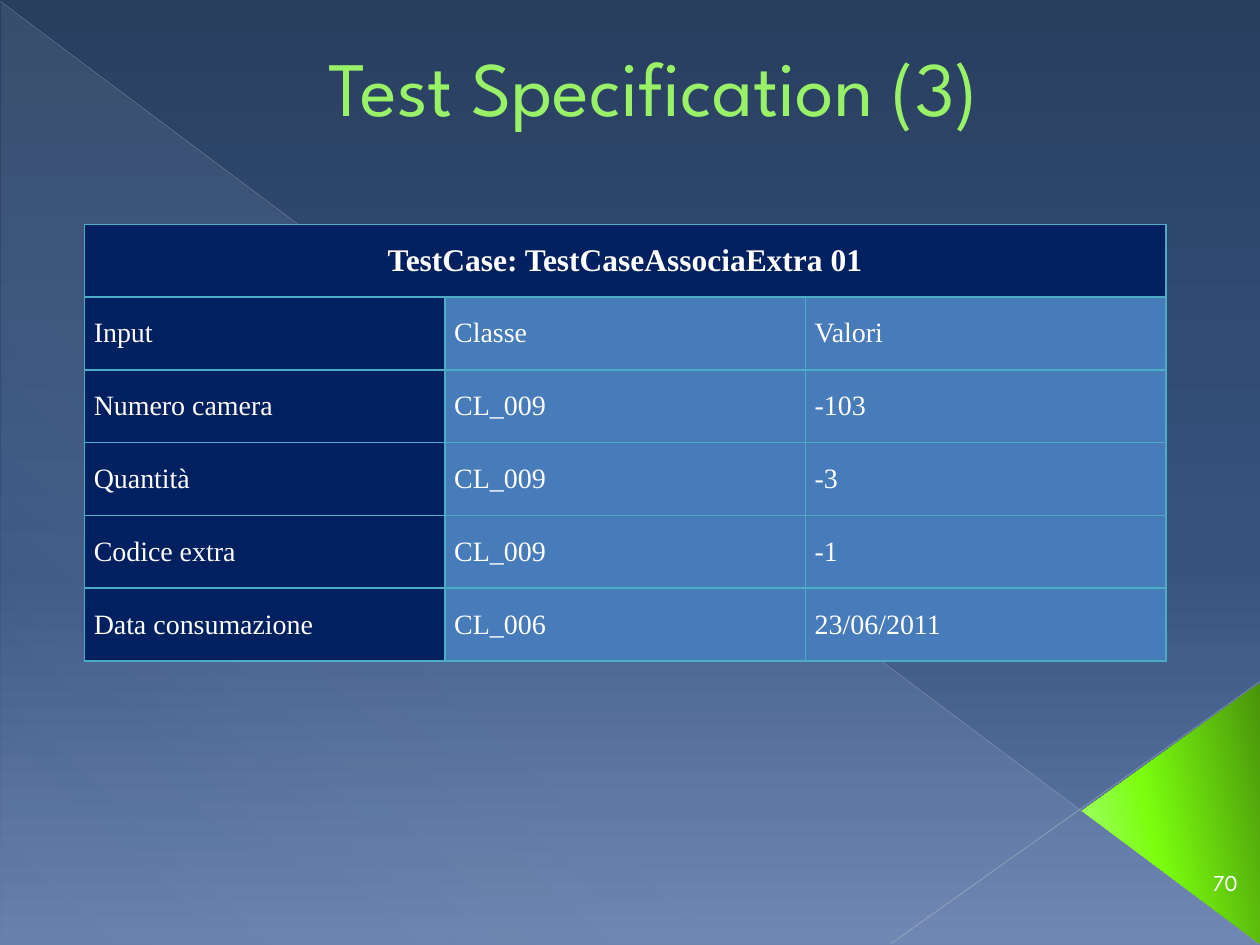
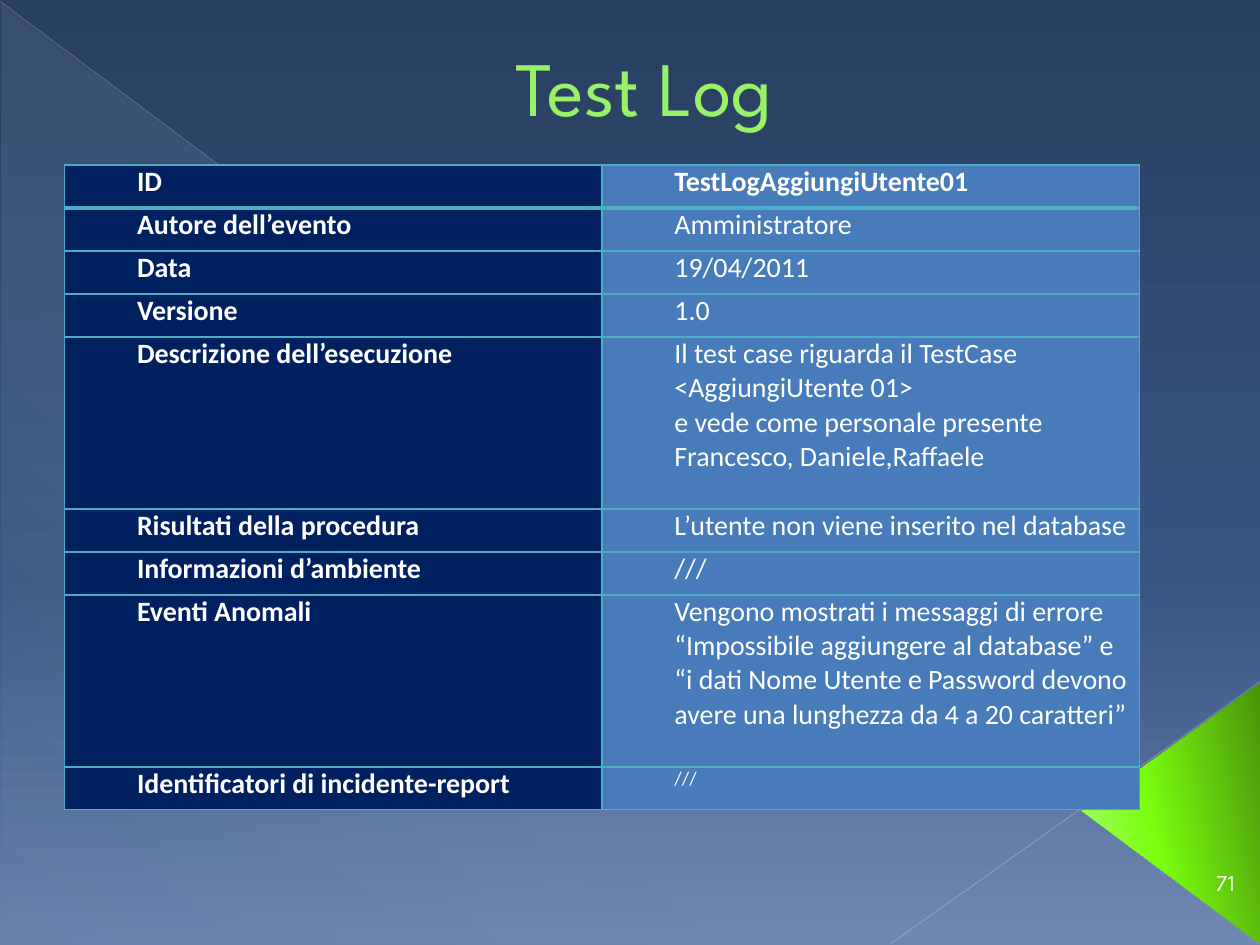
"""Builds two test documentation slides: a test case specification and a test log."""
from lxml import etree
from pptx import Presentation
from pptx.dml.color import RGBColor
from pptx.enum.shapes import MSO_CONNECTOR, MSO_SHAPE
from pptx.enum.text import MSO_ANCHOR, PP_ALIGN
from pptx.oxml.ns import qn
from pptx.util import Pt

COLORS = {
    "sky_top": "293F60", "sky_middle": "375380", "sky_bottom": "667FAC",
    "sheen": "D6ECFF", "long_edge": "B7BCC5", "short_edge": "BFC3CB",
    "corner_dark": "49940B", "corner": "7BFE0E", "corner_light": "A8FF7D",
    "title": "98F167", "title_outline": "589129", "text": "FFFFFF",
    "label": "002060", "value": "477BB9", "border": "4BACC6",
}
SLIDES = [
    {
        "title": "Test Specification (3)", "number": "70",
        "left": 48.2, "top": 128.2, "columns": [206] * 3, "heights": [41.6] * 6,
        "font": "Times New Roman", "indent": 0, "align": PP_ALIGN.JUSTIFY,
        "anchor": MSO_ANCHOR.MIDDLE, "merged_header": True,
        "rows": [
            ["TestCase: TestCaseAssociaExtra 01", "", ""],
            ["Input", "Classe", "Valori"],
            ["Numero camera", "CL_009", "-103"],
            ["Quantità", "CL_009", "-3"],
            ["Codice extra", "CL_009", "-1"],
            ["Data consumazione", "CL_006", "23/06/2011"],
        ],
    },
    {
        "title": "Test Log ", "number": "71",
        "left": 36.9, "top": 94.3, "columns": [307.1] * 2,
        "heights": [24.57] * 4 + [98.3] + [24.57] * 2 + [98.3, 24.57],
        "font": "Calibri", "indent": 36, "align": PP_ALIGN.LEFT,
        "anchor": MSO_ANCHOR.TOP, "merged_header": False,
        "rows": [
            ["ID", "TestLogAggiungiUtente01"],
            ["Autore dell’evento", "Amministratore"],
            ["Data", "19/04/2011"],
            ["Versione", "1.0"],
            ["Descrizione dell’esecuzione",
             "Il test case riguarda il TestCase <AggiungiUtente 01>\n"
             "e vede come personale presente Francesco, Daniele,Raffaele"],
            ["Risultati della procedura", "L’utente non viene inserito nel database"],
            ["Informazioni d’ambiente", "///"],
            ["Eventi Anomali",
             "Vengono mostrati i messaggi di errore “Impossibile aggiungere al database” e "
             "“i dati Nome Utente e Password devono avere una lunghezza da 4 a 20 caratteri”"],
            ["Identificatori di incidente-report", "///"],
        ],
    },
]
EDGES = [
    (0, 0.7, 719.3, 539.3, "long_edge", 0.39, 35),
    (720, 389.5, 509, 539.3, "short_edge", 0.47, 45),
]


def add_color(parent, color, opacity=100):
    """Append a solid colour with its opacity in percent."""
    srgb = etree.SubElement(parent, qn("a:srgbClr"), val=COLORS[color])
    if opacity < 100:
        etree.SubElement(srgb, qn("a:alpha"), val=str(opacity * 1000))


def set_gradient(owner, fill, angle, stops):
    """Give a fill a linear gradient of (position, colour, opacity) stops."""
    fill.gradient()
    gradient = next(owner._element.iter(qn("a:gradFill")))
    stop_list = gradient.find(qn("a:gsLst"))
    for old_stop in list(stop_list):
        stop_list.remove(old_stop)
    for position, color, opacity in stops:
        stop = etree.SubElement(stop_list, qn("a:gs"), pos=str(position * 1000))
        add_color(stop, color, opacity)
    gradient.find(qn("a:lin")).set("ang", str(angle * 60000))


prs = Presentation()
prs.slide_width, prs.slide_height = Pt(720), Pt(540)

for content in SLIDES:
    slide = prs.slides.add_slide(prs.slide_layouts[6])
    set_gradient(slide, slide.background.fill, 90,
                 [(0, "sky_top", 100), (60, "sky_middle", 100), (100, "sky_bottom", 100)])

    sheen = slide.shapes.add_shape(MSO_SHAPE.RIGHT_TRIANGLE, Pt(0.7), Pt(1.4), Pt(719.3), Pt(538.6))
    set_gradient(sheen, sheen.fill, 133,
                 [(0, "sheen", 10), (70, "sheen", 8), (100, "sheen", 1)])

    for x1, y1, x2, y2, color, width, opacity in EDGES:
        edge = slide.shapes.add_connector(MSO_CONNECTOR.STRAIGHT, Pt(x1), Pt(y1), Pt(x2), Pt(y2))
        edge.line.width = Pt(width)
        edge.line.fill.solid()
        edge.line.color.rgb = RGBColor.from_string(COLORS[color])
        srgb = next(edge._element.spPr.iter(qn("a:srgbClr")))
        etree.SubElement(srgb, qn("a:alpha"), val=str(opacity * 1000))
        etree.SubElement(edge._element.spPr, qn("a:effectLst"))

    corner = slide.shapes.add_shape(MSO_SHAPE.ISOSCELES_TRIANGLE, Pt(594.7), Pt(414), Pt(149), Pt(101.5))
    corner.rotation = 270
    corner.adjustments[0] = 0.51
    set_gradient(corner, corner.fill, 258,
                 [(0, "corner_dark", 100), (60, "corner", 100), (100, "corner_light", 100)])
    for triangle in (sheen, corner):
        triangle.line.fill.background()
        triangle.shadow.inherit = False

    captions = [
        (content["title"], (20.2, 0, 668.9, 79.2), 44, "title", MSO_ANCHOR.BOTTOM),
        (content["number"], (680.4, 489.6, 39.6, 28.8), 13, "text", MSO_ANCHOR.MIDDLE),
    ]
    for text, box, size, color, anchor in captions:
        frame = slide.shapes.add_textbox(*map(Pt, box)).text_frame
        frame.word_wrap = True
        frame.vertical_anchor = anchor
        caption = frame.paragraphs[0]
        caption.text = text
        caption.alignment = PP_ALIGN.CENTER
        caption.font.name = "League Spartan"
        caption.font.size = Pt(size)
        caption.font.color.rgb = RGBColor.from_string(COLORS[color])
        if color == "title":
            caption._p.get_or_add_pPr().set("marL", str(Pt(38.2)))
            outline = etree.Element(qn("a:ln"), w=str(Pt(0.5)))
            add_color(etree.SubElement(outline, qn("a:solidFill")), "title_outline")
            caption.font._element.insert(0, outline)

    rows, columns, heights = content["rows"], content["columns"], content["heights"]
    table = slide.shapes.add_table(
        len(rows), len(columns), Pt(content["left"]), Pt(content["top"]),
        Pt(sum(columns)), Pt(sum(heights))).table
    table.first_row = table.horz_banding = False
    for column, width in zip(table.columns, columns):
        column.width = Pt(width)
    for row, height in zip(table.rows, heights):
        row.height = Pt(height)
    merged_header = content["merged_header"]
    if merged_header:
        table.cell(0, 0).merge(table.cell(0, len(columns) - 1))

    for r, row in enumerate(rows):
        for c, text in enumerate(row):
            cell = table.cell(r, c)
            cell.text = text
            cell.vertical_anchor = content["anchor"]
            cell.margin_left = cell.margin_right = Pt(5.4)
            cell.margin_top = cell.margin_bottom = 0
            cell.fill.solid()
            cell.fill.fore_color.rgb = RGBColor.from_string(COLORS["value" if c else "label"])
            for index, side in enumerate(("lnL", "lnR", "lnT", "lnB")):
                thick = not merged_header and (r, side) in ((0, "lnB"), (1, "lnT"))
                border = etree.Element(qn(f"a:{side}"), w=str(Pt(2.25 if thick else 1)))
                add_color(etree.SubElement(border, qn("a:solidFill")), "border")
                cell._tc.get_or_add_tcPr().insert(index, border)

            header = merged_header and r == 0
            small = not merged_header and c and r == len(rows) - 1
            for paragraph in cell.text_frame.paragraphs:
                paragraph._p.get_or_add_pPr().set("marL", str(Pt(content["indent"])))
                paragraph.alignment = PP_ALIGN.CENTER if header else content["align"]
                paragraph.font.name = content["font"]
                paragraph.font.size = Pt(18 if header else 11 if small else 16)
                paragraph.font.bold = r == 0 or (c == 0 and not merged_header)
                paragraph.font.color.rgb = RGBColor.from_string(COLORS["text"])

prs.save("out.pptx")
